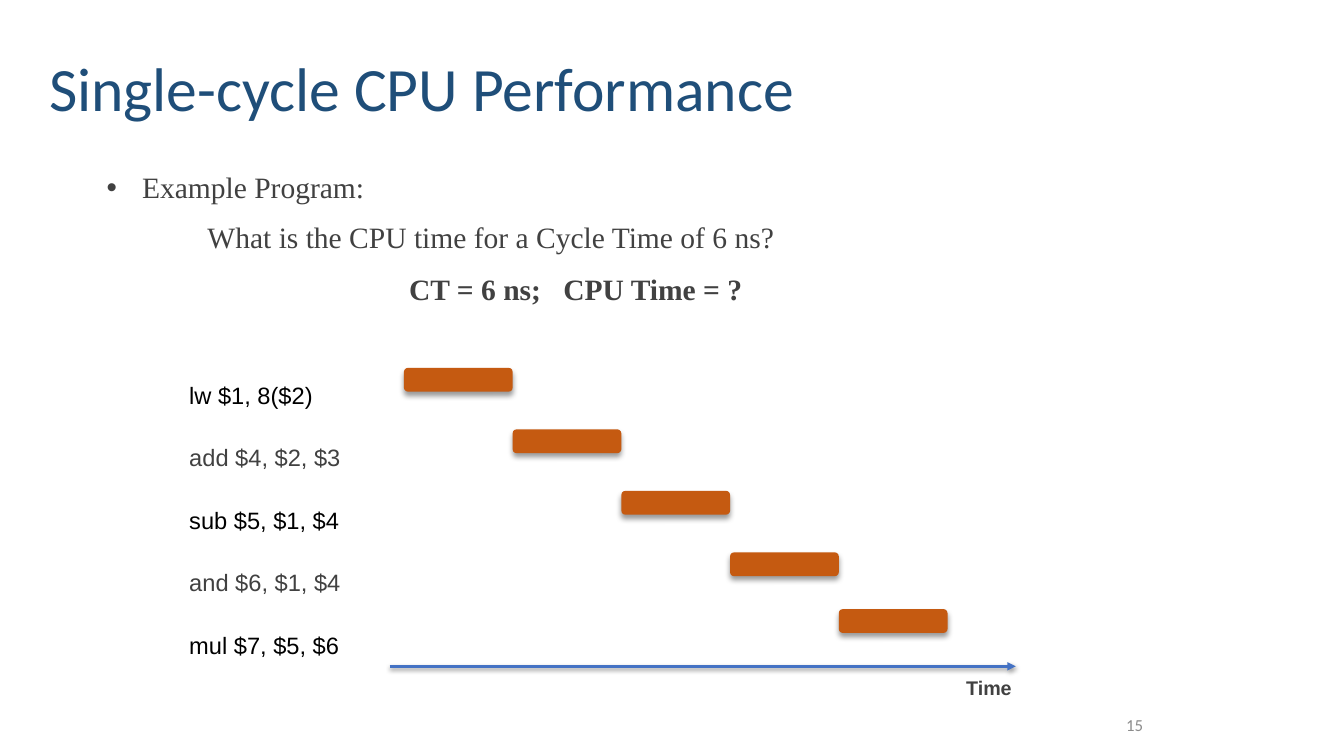
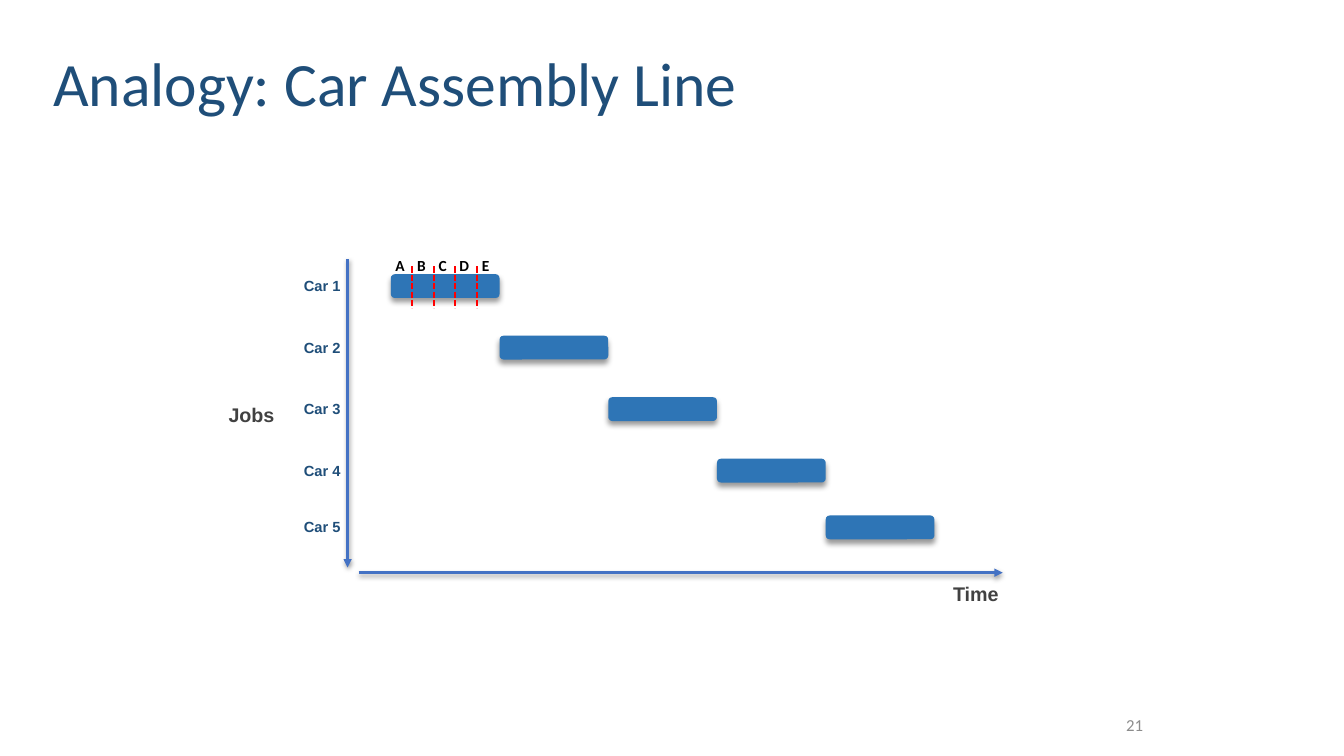
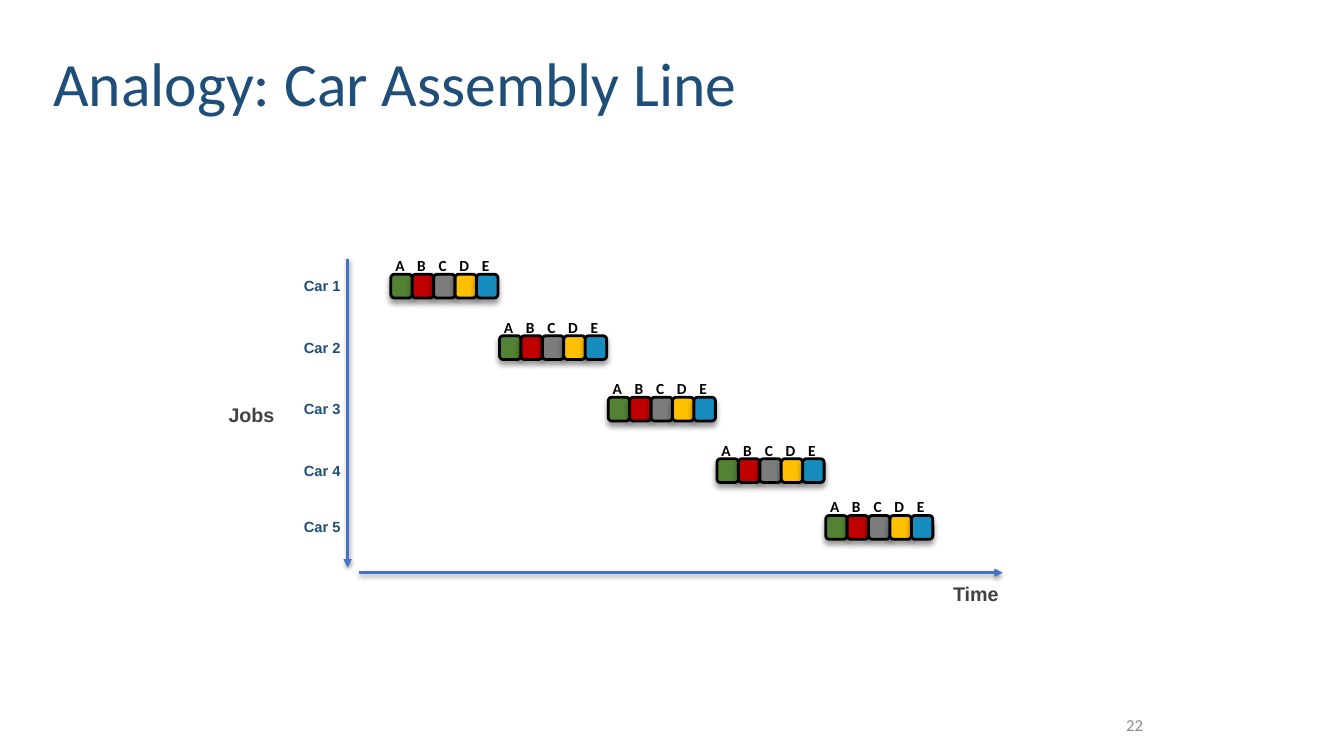
import pptx
import pptx.util
import pptx.dml.color
import pptx.enum.dml
import pptx.enum.shapes
import pptx.enum.text
import pptx.oxml
import pptx.oxml.ns

Cm = pptx.util.Cm
Pt = pptx.util.Pt
RGBColor = pptx.dml.color.RGBColor
ALIGN = pptx.enum.text.PP_ALIGN
ANCHOR = pptx.enum.text.MSO_ANCHOR
qn = pptx.oxml.ns.qn

NAVY = RGBColor(0x1F, 0x4E, 0x79)
AXIS_BLUE = RGBColor(0x44, 0x72, 0xC4)
CAR_BLUE = RGBColor(0x2E, 0x75, 0xB6)
ORANGE = RGBColor(0xC5, 0x5A, 0x11)
DARK_GRAY = RGBColor(0x41, 0x41, 0x41)
PAGE_GRAY = RGBColor(0x8C, 0x8C, 0x8C)
BLACK = RGBColor(0, 0, 0)
RED = RGBColor(0xFF, 0, 0)
STAGES = {
    "A": RGBColor(0x54, 0x82, 0x35),
    "B": RGBColor(0xC0, 0, 0),
    "C": RGBColor(0x7C, 0x7C, 0x7C),
    "D": RGBColor(0xFF, 0xC0, 0),
    "E": RGBColor(0x16, 0x8D, 0xBE),
}

# Schedule geometry in centimetres, measured from the first bar's corner
BAR_WIDTH, BAR_HEIGHT, STAGE_WIDTH = 2.74, 0.6, 0.54
ROW_TOPS = (0, 1.55, 3.1, 4.65, 6.08)
SMALL_INSET = 0.1


def add_text_box(slide, left, top, width, height, inset=None, wrap=True, anchor=ANCHOR.TOP):
    frame = slide.shapes.add_textbox(Cm(left), Cm(top), Cm(width), Cm(height)).text_frame
    frame.word_wrap = wrap
    frame.vertical_anchor = anchor
    if inset is not None:
        frame.margin_left = frame.margin_right = Cm(inset)
        frame.margin_top = frame.margin_bottom = Cm(inset)
    return frame


def add_run(paragraph, text, size, font, color, bold=False):
    run = paragraph.add_run()
    run.text = text
    run.font.size = Pt(size)
    run.font.name = font
    run.font.color.rgb = color
    run.font.bold = bold
    return run


def set_effects(properties, shadow=None):
    """Replace inherited effects; shadow is (opacity %, blur pt, distance pt)."""
    effects = properties.find(qn("a:effectLst"))
    if effects is None:
        effects = properties.makeelement(qn("a:effectLst"), {})
        properties.append(effects)
    if shadow:
        opacity, blur, distance = shadow
        effects.append(pptx.oxml.parse_xml(
            f'<a:outerShdw {pptx.oxml.ns.nsdecls("a")} blurRad="{Pt(blur)}" '
            f'dist="{Pt(distance)}" dir="5400000" rotWithShape="0">'
            f'<a:srgbClr val="000000"><a:alpha val="{opacity * 1000}"/></a:srgbClr>'
            '</a:outerShdw>'))


def add_line(slide, start, end, color, width):
    line = slide.shapes.add_connector(
        pptx.enum.shapes.MSO_CONNECTOR.STRAIGHT,
        Cm(start[0]), Cm(start[1]), Cm(end[0]), Cm(end[1]))
    line.line.color.rgb = color
    line.line.width = Pt(width)
    return line


def add_axis(slide, start, end):
    axis = add_line(slide, start, end, AXIS_BLUE, 2)
    outline = axis.line._get_or_add_ln()
    outline.append(outline.makeelement(qn("a:tailEnd"), {"type": "triangle"}))
    set_effects(axis._element.spPr, (38, 3, 1.6))


def add_block(slide, left, top, width, fill, outlined=False):
    block = slide.shapes.add_shape(
        pptx.enum.shapes.MSO_SHAPE.ROUNDED_RECTANGLE,
        Cm(left), Cm(top), Cm(width), Cm(BAR_HEIGHT))
    block.fill.solid()
    block.fill.fore_color.rgb = fill
    if outlined:
        block.line.color.rgb = BLACK
        block.line.width = Pt(2)
    else:
        block.line.fill.background()
    block.shadow.inherit = False
    set_effects(block._element.spPr, (40, 4, 3))


def add_label(slide, left, top, text, size, color):
    frame = add_text_box(slide, left, top, 1.5, 0.75, SMALL_INSET, wrap=False)
    add_run(frame.paragraphs[0], text, size, "Arial", color, bold=True)


def row_corners(left, top):
    return [(left + row * BAR_WIDTH, top + offset) for row, offset in enumerate(ROW_TOPS)]


def add_bars(slide, left, top, color):
    for bar_left, bar_top in row_corners(left, top):
        add_block(slide, bar_left, bar_top, BAR_WIDTH, color)


def add_time_axis(slide, left, top, lead):
    """Time axis under the rows, starting lead cm before the first bar."""
    axis_y, axis_end = top + 7.52, left + 15.42
    add_axis(slide, (left - lead, axis_y), (axis_end, axis_y))
    add_label(slide, axis_end - 1.35, axis_y + 0.13, "Time", 14.1, DARK_GRAY)


def add_jobs_axis(slide, left, top):
    add_axis(slide, (left - 1.09, top - 0.38), (left - 1.09, top + 7.39))
    add_label(slide, left - 4.19, top + 3.15, "Jobs", 14.1, DARK_GRAY)
    for number, offset in enumerate(ROW_TOPS, 1):
        add_label(slide, left - 2.29, top + offset - 0.03, f"Car {number}", 10.5, NAVY)


def add_stage_letters(slide, left, top):
    for index, letter in enumerate(STAGES):
        frame = add_text_box(slide, left + index * STAGE_WIDTH, top - 0.59, 0.46, 0.74,
                             inset=0, wrap=False, anchor=ANCHOR.MIDDLE)
        frame.paragraphs[0].alignment = ALIGN.CENTER
        add_run(frame.paragraphs[0], letter, 11, "Calibri", BLACK, bold=True)


def add_stage_dividers(slide, left, top):
    for index in range(1, len(STAGES)):
        x = left + index * STAGE_WIDTH
        divider = add_line(slide, (x, top - 0.2), (x, top + 0.86), RED, 1.5)
        divider.line.dash_style = pptx.enum.dml.MSO_LINE.SQUARE_DOT
        set_effects(divider._element.spPr)


def add_stage_blocks(slide, left, top):
    for index, color in enumerate(STAGES.values()):
        add_block(slide, left + index * STAGE_WIDTH, top, STAGE_WIDTH, color, outlined=True)


def add_question(slide, left, top):
    frame = add_text_box(slide, left, top, 24, 4.06, SMALL_INSET)
    lines = (
        (0.89, 3, ["Example Program:"], False),
        (2.54, 0, ["What is the CPU time for a Cycle Time of 6 ns?"], False),
        (7.62, 2, ["CT = 6 ns;", " ", "CPU Time = ?"], True),
    )
    for index, (margin, space, pieces, bold) in enumerate(lines):
        paragraph = frame.add_paragraph() if index else frame.paragraphs[0]
        paragraph.alignment = ALIGN.JUSTIFY
        paragraph.line_spacing = 1.4
        paragraph.space_before = Pt(space)
        properties = paragraph._p.get_or_add_pPr()
        properties.set("marL", str(Cm(margin)))
        properties.set("indent", str(0 if index else -Cm(margin)))
        if index == 0:
            for tag, value in (("a:buFont", {"typeface": "Arial"}), ("a:buChar", {"char": "•"})):
                properties.append(properties.makeelement(qn(tag), value))
        for piece in pieces:
            run = add_run(paragraph, piece, 21.1, "Times New Roman", DARK_GRAY, bold)
            if piece == " ":
                # widen the gap between the two formulas
                run.font._element.set("spc", "1050")


def add_instructions(slide, left, top):
    frame = add_text_box(slide, left, top, 5.13, 8.1, SMALL_INSET)
    program = ("lw $1, 8($2)", "add $4, $2, $3", "sub $5, $1, $4",
               "and $6, $1, $4", "mul $7, $5, $6")
    for index, instruction in enumerate(program):
        paragraph = frame.add_paragraph() if index else frame.paragraphs[0]
        paragraph.line_spacing = 2.2
        add_run(paragraph, instruction, 16.9, "Arial", DARK_GRAY if index % 2 else BLACK)


def add_titled_slide(deck, title, number, left, top):
    """Blank slide with its page number and a title box at left, top."""
    slide = deck.slides.add_slide(deck.slide_layouts[6])
    page = add_text_box(slide, 23.14, 17.75, 5.92, 1.02, anchor=ANCHOR.MIDDLE).paragraphs[0]
    page.alignment = ALIGN.RIGHT
    add_run(page, str(number), 12, "Calibri", PAGE_GRAY)
    heading = add_text_box(slide, left, top, 29.21, 3.68, anchor=ANCHOR.BOTTOM).paragraphs[0]
    heading.line_spacing = 0.9
    add_run(heading, title, 44, "Calibri", NAVY)
    return slide


def add_performance_slide(deck, left=10.18, top=9.27):
    slide = add_titled_slide(deck, "Single-cycle CPU Performance", 15, 0.99, -0.41)
    add_instructions(slide, 4.67, 8.64)
    add_bars(slide, left, top, ORANGE)
    add_time_axis(slide, left, top, lead=0.36)
    add_question(slide, 2.59, 3.81)


def add_assembly_slide(deck, number, staged, left=9.85, top=6.91):
    """Car schedule; staged splits every car into its coloured stages."""
    slide = add_titled_slide(deck, "Analogy: Car Assembly Line", number, 1.09, -0.53)
    add_time_axis(slide, left, top, lead=0.81)
    add_jobs_axis(slide, left, top)
    if staged:
        for car_left, car_top in row_corners(left, top):
            add_stage_blocks(slide, car_left, car_top)
            add_stage_letters(slide, car_left, car_top)
    else:
        add_bars(slide, left, top, CAR_BLUE)
        add_stage_dividers(slide, left, top)
        add_stage_letters(slide, left, top)


def main():
    deck = pptx.Presentation()
    deck.slide_width, deck.slide_height = Cm(33.87), Cm(19.05)
    add_performance_slide(deck)
    add_assembly_slide(deck, 21, staged=False)
    add_assembly_slide(deck, 22, staged=True)
    deck.save("out.pptx")


if __name__ == "__main__":
    main()
